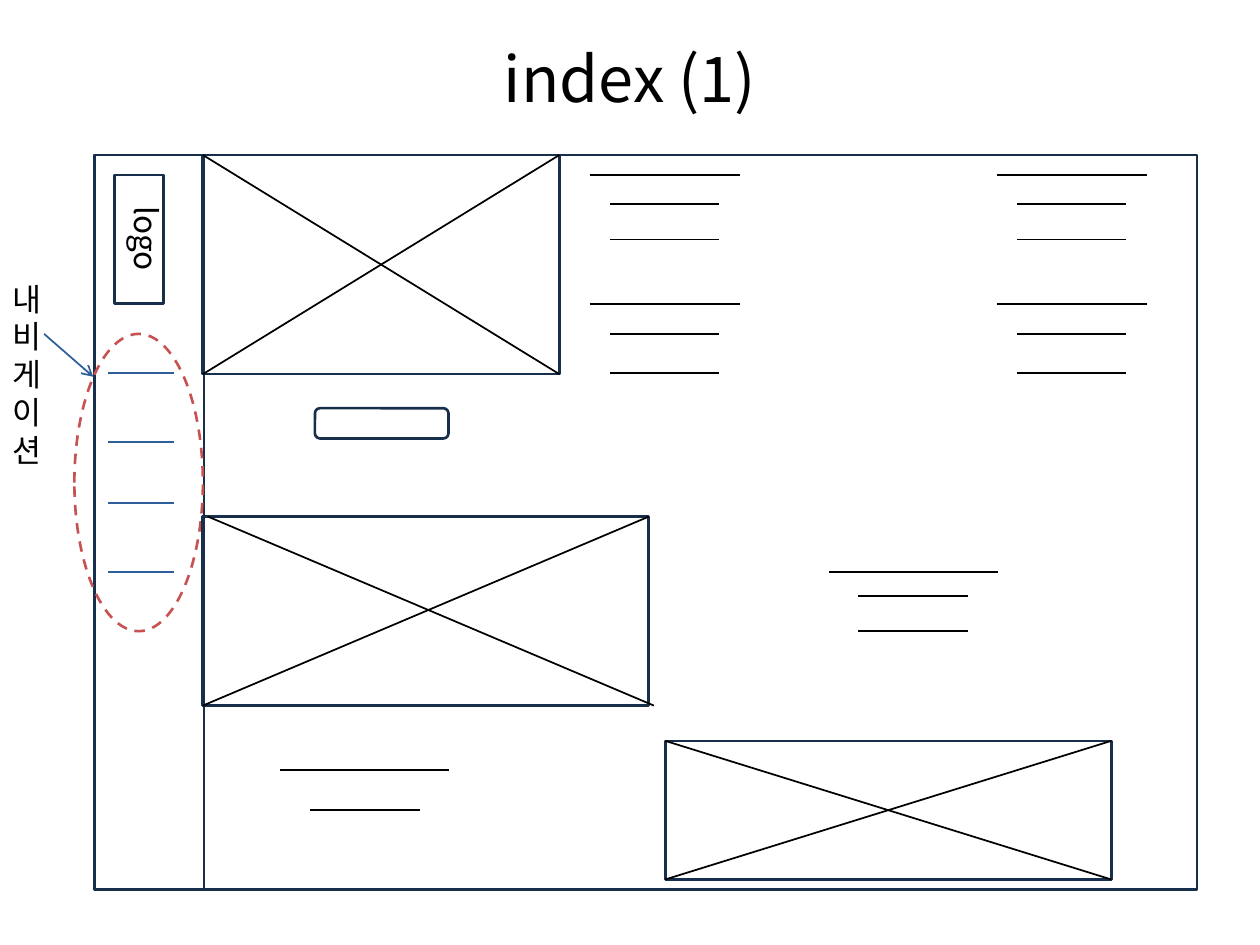
"""Builds the wireframe slide of the index page."""
from pptx import Presentation
from pptx.dml.color import RGBColor
from pptx.enum.dml import MSO_LINE
from pptx.enum.shapes import MSO_CONNECTOR, MSO_SHAPE
from pptx.enum.text import MSO_ANCHOR, PP_ALIGN
from pptx.oxml.ns import qn
from pptx.util import Inches, Pt
from lxml import etree

NAVY = RGBColor(0x18, 0x2F, 0x4B)
BLUE = RGBColor(0x2E, 0x5F, 0x9A)
RED = RGBColor(0xC7, 0x52, 0x52)
BLACK = RGBColor(0, 0, 0)


class Wireframe:
    font = "Noto Sans CJK KR"

    def __init__(self, slide):
        self.slide = slide

    def outline(self, x, y, w, h, kind=MSO_SHAPE.RECTANGLE, color=NAVY, dash=None):
        shape = self.slide.shapes.add_shape(kind, Inches(x), Inches(y), Inches(w), Inches(h))
        shape.shadow.inherit = False
        shape.fill.background()
        shape.line.color.rgb = color
        shape.line.width = Pt(1.5)
        if dash:
            shape.line.dash_style = dash
        return shape

    def line(self, x1, y1, x2, y2, color=BLACK, arrow=False):
        line = self.slide.shapes.add_connector(
            MSO_CONNECTOR.STRAIGHT, Inches(x1), Inches(y1), Inches(x2), Inches(y2))
        line.line.color.rgb = color
        line.line.width = Pt(1)
        if arrow:
            etree.SubElement(line.line._get_or_add_ln(), qn("a:tailEnd"), type="arrow")
        etree.SubElement(line._element.spPr, qn("a:effectLst"))

    def rules(self, x, width, tops, color=BLACK):
        for y in tops:
            self.line(x, y, x + width, y, color)

    def image_box(self, x, y, w, h, shift=0):
        self.outline(x, y, w, h)
        self.line(x + shift, y, x + w + shift, y + h)
        self.line(x, y + h, x + w, y)

    def text(self, words, x, y, w, h, size=18, align=PP_ALIGN.LEFT,
             anchor=MSO_ANCHOR.TOP, vertical=False):
        box = self.slide.shapes.add_textbox(Inches(x), Inches(y), Inches(w), Inches(h))
        frame = box.text_frame
        frame.word_wrap = True
        frame.vertical_anchor = anchor
        if vertical:
            frame._txBody.bodyPr.set("vert", "eaVert")
        paragraph = frame.paragraphs[0]
        paragraph.alignment = align
        run = paragraph.add_run()
        run.text = words
        run.font.size = Pt(size)
        run.font.name = self.font
        run.font.color.rgb = BLACK
        etree.SubElement(run.font._element, qn("a:ea"), typeface=self.font)


prs = Presentation()
prs.slide_width, prs.slide_height = Inches(10), Inches(7.5)
page = Wireframe(prs.slides.add_slide(prs.slide_layouts[6]))

page.text("index (1)", 0.5, 0.3, 9, 0.62, 36, PP_ALIGN.CENTER, MSO_ANCHOR.MIDDLE)
page.outline(0.75, 1.23, 8.75, 5.83)
page.outline(0.75, 1.23, 0.87, 5.83)
page.outline(0.91, 1.39, 0.39, 1.02)
page.text("logo", 0.86, 1.54, 0.51, 1, vertical=True)

page.rules(0.86, 0.52, (2.96, 3.51, 3.99, 4.54), BLUE)
page.outline(0.59, 2.65, 1.02, 2.36, MSO_SHAPE.OVAL, RED, MSO_LINE.DASH)
page.line(0.35, 2.65, 0.74, 2.99, BLUE, arrow=True)
page.text("내비게이션", 0, 2.17, 0.59, 1.59)

page.image_box(1.61, 1.23, 2.83, 1.74)
page.image_box(1.61, 4.1, 3.54, 1.5, shift=0.04)
page.image_box(5.28, 5.88, 3.54, 1.1)
button = page.outline(2.5, 3.24, 1.06, 0.24, MSO_SHAPE.ROUNDED_RECTANGLE)
button.adjustments[0] = 0.167

for column in (4.68, 7.91):
    page.rules(column, 1.19, (1.39, 2.41))
    page.rules(column + 0.16, 0.87, (1.62, 1.9, 2.65, 2.96))
for left, heading, inset, body in ((6.58, 4.54, 0.23, (4.73, 5.01)),
                                   (2.22, 6.11, 0.24, (6.43,))):
    page.rules(left, 1.34, (heading,))
    page.rules(left + inset, 0.87, body)

prs.save("out.pptx")
